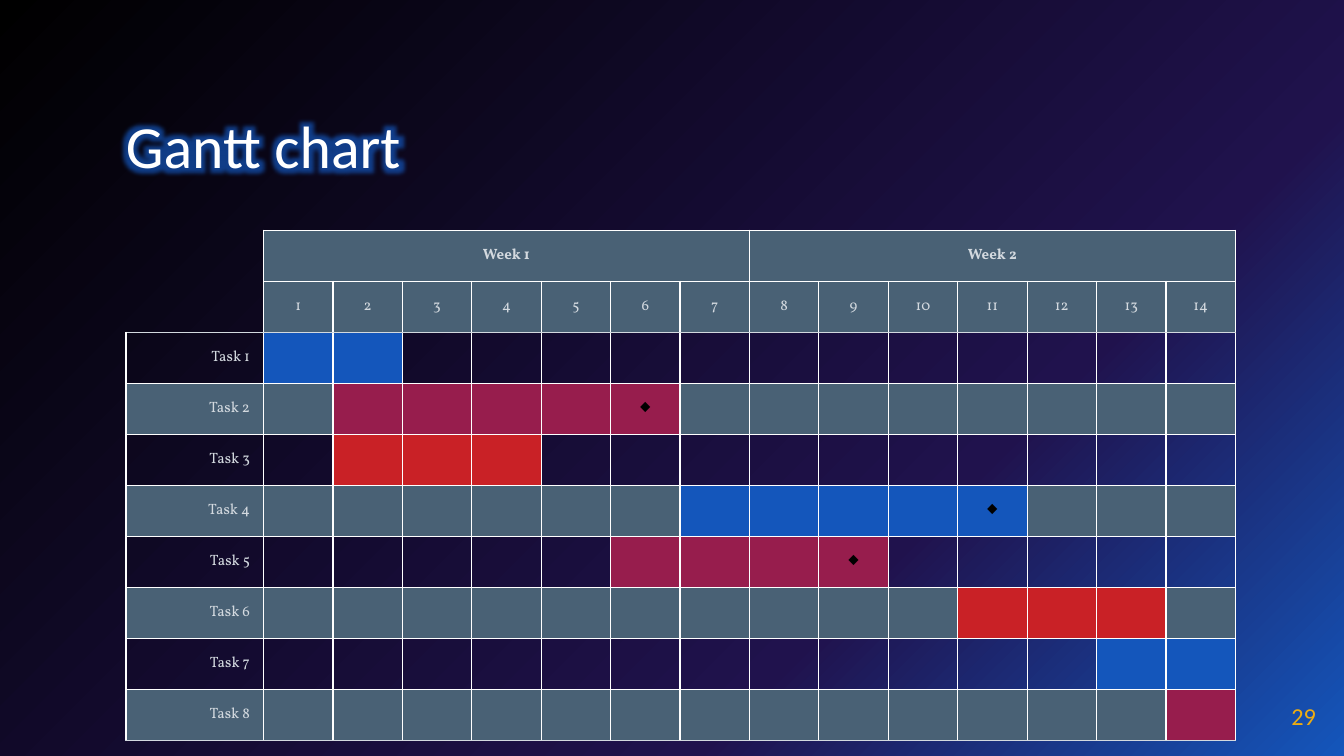
from dataclasses import dataclass

from lxml import etree
from pptx import Presentation
from pptx.dml.color import RGBColor
from pptx.enum import text
from pptx.oxml import parse_xml
from pptx.oxml.ns import nsdecls, qn
from pptx.util import Cm, Pt


@dataclass(frozen=True)
class Theme:
    head_font: str = "Calibri"
    body_font: str = "Vollkorn"
    title_size: float = 32
    number_size: float = 13
    table_size: float = 8
    border_width: float = 0.75
    white: str = "FFFFFF"
    black: str = "000000"
    blue: str = "1456BB"
    navy: str = "20124D"
    plum: str = "971D4D"
    red: str = "C92126"
    slate: str = "496175"
    pale: str = "D3D9DF"
    gold: str = "EEAD12"


T = Theme()
DAYS = 14
WEEK = 7
HEAD_ROWS = 2
LABEL_WIDTH = Cm(2.6)

# First day, last day, colour, milestone on the last day
TASKS = [
    (1, 2, T.blue, False),
    (2, 6, T.plum, True),
    (2, 4, T.red, False),
    (7, 11, T.blue, True),
    (6, 9, T.plum, True),
    (11, 13, T.red, False),
    (13, 14, T.blue, False),
    (14, 14, T.plum, False),
]


def set_font(font, name, size, color, bold=False):
    font.name = name
    font.size = Pt(size)
    font.bold = bold
    font.color.rgb = RGBColor.from_string(color)


def clear_frame(tf):
    tf.word_wrap = True
    tf.auto_size = text.MSO_AUTO_SIZE.NONE
    tf.vertical_anchor = text.MSO_ANCHOR.MIDDLE
    tf.margin_left = tf.margin_right = tf.margin_top = tf.margin_bottom = 0


def add_background(s):
    stops = [(0, T.blue), (31, T.navy), (100, T.black)]
    gs = "".join(f'<a:gs pos="{pos * 1000}"><a:srgbClr val="{color}"/></a:gs>'
                 for pos, color in stops)
    bg = parse_xml(
        f'<p:bg {nsdecls("p", "a")}><p:bgPr><a:gradFill><a:gsLst>{gs}</a:gsLst>'
        '<a:path path="circle"><a:fillToRect l="100000" t="100000"/></a:path>'
        '</a:gradFill><a:effectLst/></p:bgPr></p:bg>')
    s.element.cSld.insert(0, bg)


def add_title(s, box):
    sp = s.shapes.title
    sp.left, sp.top, sp.width, sp.height = box
    clear_frame(sp.text_frame)
    p = sp.text_frame.paragraphs[0]
    p.alignment = text.PP_ALIGN.LEFT
    p.line_spacing = 0.8
    r = p.add_run()
    r.text = "Gantt chart"
    set_font(r.font, T.head_font, T.title_size, T.white)
    # Blue glow, placed right after the text fill
    glow = parse_xml(
        f'<a:effectLst {nsdecls("a")}><a:glow rad="{Pt(10)}">'
        f'<a:srgbClr val="{T.blue}"><a:alpha val="70000"/></a:srgbClr>'
        '</a:glow></a:effectLst>')
    r.font._element.find(qn("a:solidFill")).addnext(glow)


def add_page_number(s, box):
    tf = s.shapes.add_textbox(*box).text_frame
    clear_frame(tf)
    p = tf.paragraphs[0]
    p.text = "29"
    p.alignment = text.PP_ALIGN.RIGHT
    set_font(p.font, T.head_font, T.number_size, T.gold)


def set_borders(cell, left, right, top, bottom):
    tcPr = cell._tc.get_or_add_tcPr()
    for side, color in zip("LRTB", (left, right, top, bottom)):
        ln = etree.SubElement(tcPr, qn(f"a:ln{side}"), w=str(Pt(T.border_width)))
        if color:
            fill = etree.SubElement(ln, qn("a:solidFill"))
            etree.SubElement(fill, qn("a:srgbClr"), val=color)
        else:
            etree.SubElement(ln, qn("a:noFill"))


def write_cell(cell, words, align, color=T.pale, bold=False):
    cell.margin_top = cell.margin_bottom = Cm(0.13)
    p = cell.text_frame.paragraphs[0]
    p.text = words
    p.alignment = align
    set_font(p.font, T.body_font, T.table_size, color, bold)


def cell_fill(row, day):
    """Colour of a cell, or None where the background shows through."""
    if row < HEAD_ROWS:
        return T.slate if day else None
    first, last, color, _ = TASKS[row - HEAD_ROWS]
    if first <= day <= last:
        return color
    return T.slate if row % 2 else None


def add_gantt(s, box):
    left, top, width, height = box
    rows = HEAD_ROWS + len(TASKS)
    frame = s.shapes.add_table(rows, DAYS + 1, left, top, width, height)
    table = frame.table
    table.first_row = table.horz_banding = False
    for day, column in enumerate(table.columns):
        column.width = int((width - LABEL_WIDTH) / DAYS) if day else LABEL_WIDTH

    # Fills and borders
    for row in range(rows):
        for day in range(DAYS + 1):
            cell = table.cell(row, day)
            cell.vertical_anchor = text.MSO_ANCHOR.MIDDLE
            cell.margin_top = cell.margin_bottom = 0
            corner = row < HEAD_ROWS and day == 0
            edge = None if corner else T.white
            pale_below = row in (HEAD_ROWS - 1, rows - 1)
            set_borders(cell, edge, T.white,
                        T.pale if row == HEAD_ROWS else edge,
                        T.pale if pale_below else edge)
            color = cell_fill(row, day)
            if color:
                cell.fill.solid()
                cell.fill.fore_color.rgb = RGBColor.from_string(color)
            else:
                cell.fill.background()

    # Week and day headings
    center, right = text.PP_ALIGN.CENTER, text.PP_ALIGN.RIGHT
    for week, day in enumerate(range(1, DAYS + 1, WEEK), 1):
        cell = table.cell(0, day)
        cell.merge(table.cell(0, day + WEEK - 1))
        write_cell(cell, f"Week {week}", center, bold=True)
    for day in range(1, DAYS + 1):
        write_cell(table.cell(1, day), str(day), center)

    # Task names and milestones
    for i, (_, last, _, milestone) in enumerate(TASKS):
        row = HEAD_ROWS + i
        write_cell(table.cell(row, 0), f"Task {i + 1}", right)
        if milestone:
            write_cell(table.cell(row, last), "◆", center, T.black)


def main():
    prs = Presentation()
    prs.slide_width, prs.slide_height = Cm(25.4), Cm(14.29)
    s = prs.slides.add_slide(prs.slide_layouts[5])
    add_background(s)
    add_title(s, (Cm(2.38), Cm(2.31), Cm(15.16), Cm(1.09)))
    add_page_number(s, (Cm(23.35), Cm(12.99), Cm(1.52), Cm(1.09)))
    add_gantt(s, (Cm(2.38), Cm(4.35), Cm(20.97), Cm(9.64)))
    prs.save("out.pptx")


if __name__ == "__main__":
    main()
